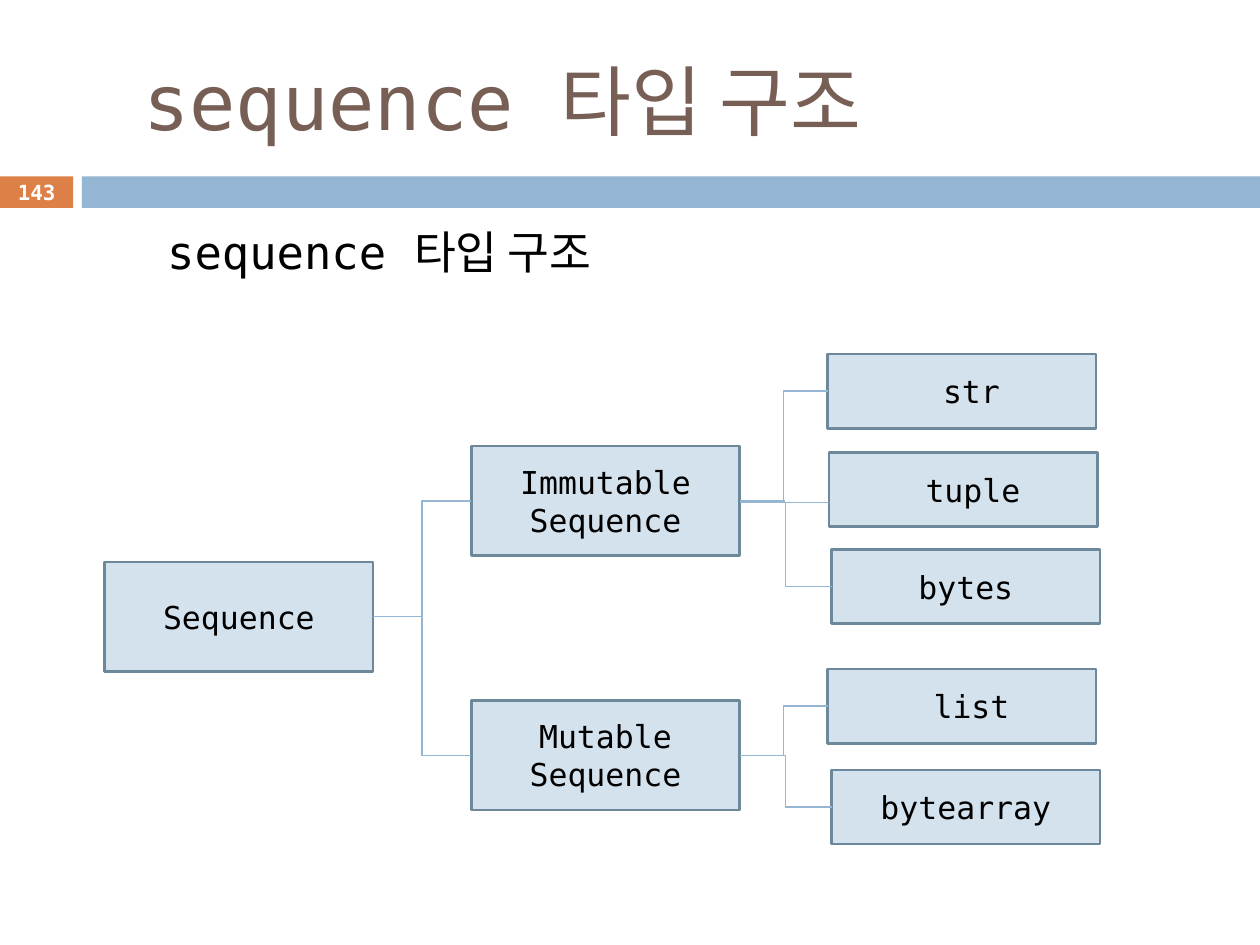
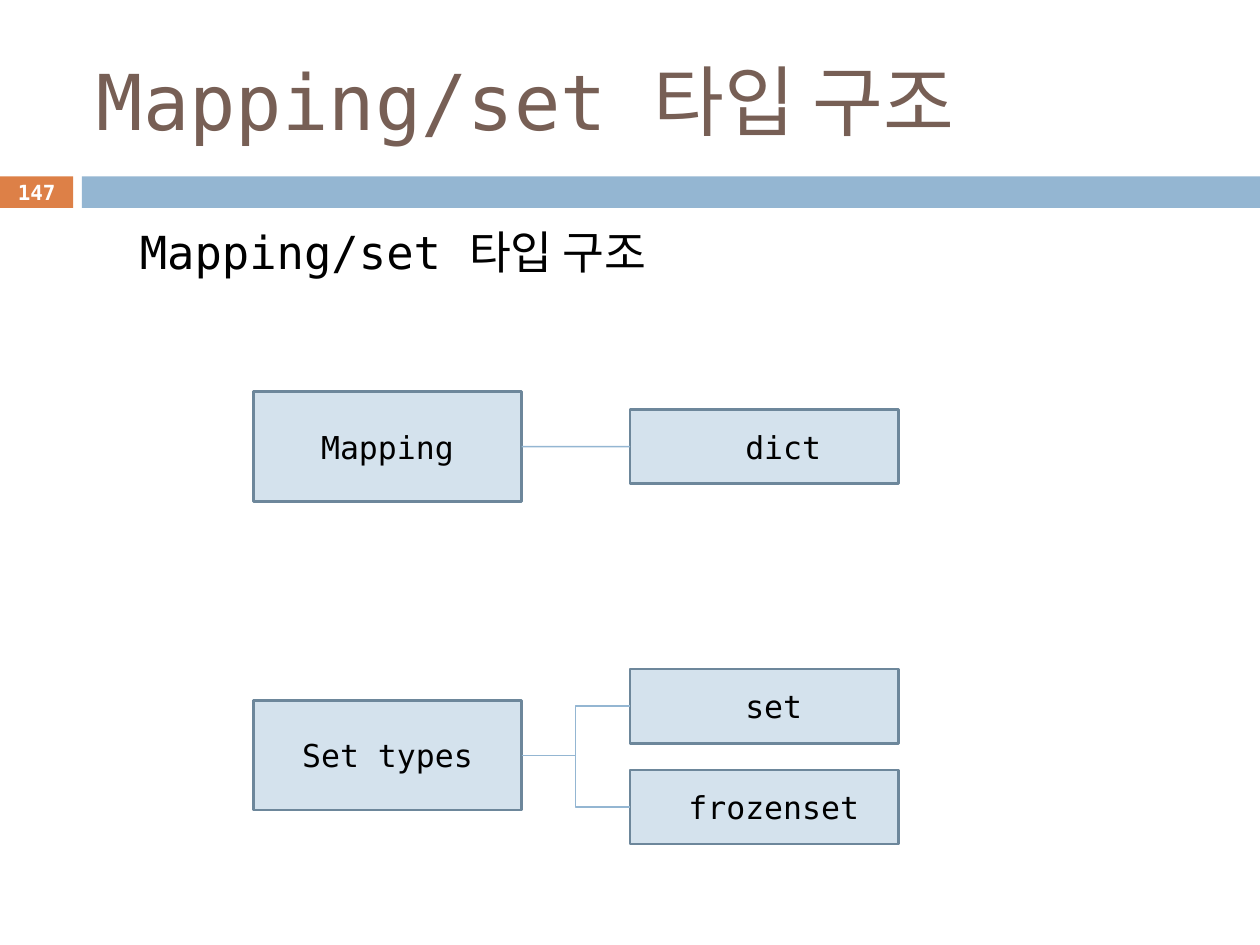
from pptx import Presentation
from pptx.dml.color import RGBColor
from pptx.enum.shapes import MSO_CONNECTOR as Connector, MSO_SHAPE as Shape
from pptx.enum.text import MSO_ANCHOR as Anchor, MSO_AUTO_SIZE as AutoSize, PP_ALIGN as Align
from pptx.oxml.ns import qn
from pptx.util import Pt
from lxml.etree import SubElement

FONT = "DejaVu Sans Mono"
COLOURS = {
    "title": "775F55", "text": "000000", "badge": "DD8047", "badge_text": "FFFFFF",
    "band": "94B6D2", "node": "D4E2ED", "node_line": "6D879B",
}
TITLE_ONLY = 5
INSET = 7.2
CHAR_WIDTH = 0.6  # advance of one character, as a share of the font size
NODE_WIDTH, GROUP_HEIGHT, TYPE_HEIGHT = 153.4, 62.6, 42.5
BAND_TOP, BAND_HEIGHT = 100.8, 18


def colour(name):
    return RGBColor.from_string(COLOURS[name])


def write(frame, text, size, ink="text", bold=False, align=Align.LEFT,
          anchor=Anchor.MIDDLE, indent=0):
    """Fill a text frame; indent is extra room on the left, in characters."""
    frame.word_wrap = True
    frame.auto_size = AutoSize.NONE
    frame.vertical_anchor = anchor
    frame.margin_left = Pt(round(INSET + indent * CHAR_WIDTH * size, 2))
    frame.margin_right = Pt(INSET)
    frame.margin_top = frame.margin_bottom = Pt(INSET / 2)
    frame.text = text
    for para in frame.paragraphs:
        para.alignment = align
        para.font.name = FONT
        para.font.size = Pt(size)
        para.font.bold = bold
        para.font.color.rgb = colour(ink)


def add_rectangle(page, left, top, width, height, fill, line=None):
    box = page.shapes.add_shape(Shape.RECTANGLE, Pt(left), Pt(top), Pt(width), Pt(height))
    box.shadow.inherit = False
    box.fill.solid()
    box.fill.fore_color.rgb = colour(fill)
    if line:
        box.line.color.rgb = colour(line)
        box.line.width = Pt(1.5)
    else:
        box.line.fill.background()
    return box


def add_page(deck, heading, number, title_indent=0, subtitle_left=80):
    """Add a page with its title, numbered band and subtitle."""
    page = deck.slides.add_slide(deck.slide_layouts[TITLE_ONLY])
    title = page.shapes.title
    title.left, title.top, title.width, title.height = Pt(48.2), Pt(18), Pt(642.2), Pt(77.8)
    write(title.text_frame, heading, 44, ink="title", indent=title_indent)

    badge = add_rectangle(page, 0, BAND_TOP, 41.8, BAND_HEIGHT, "badge")
    write(badge.text_frame, number, 11.9, ink="badge_text", bold=True, align=Align.CENTER)
    badge.text_frame.margin_top = badge.text_frame.margin_bottom = 0
    add_rectangle(page, 46.8, BAND_TOP, 673.2, BAND_HEIGHT, "band")

    subtitle = page.shapes.add_textbox(Pt(subtitle_left - INSET), Pt(124.6), Pt(600), Pt(72))
    write(subtitle.text_frame, heading, 26, anchor=Anchor.TOP)
    return page


def add_node(page, text, left, top, height, indent=0):
    node = add_rectangle(page, left, top, NODE_WIDTH, height, "node", "node_line")
    write(node.text_frame, text, 18, align=Align.CENTER, indent=indent)
    return node


def add_group(page, text, left, top):
    return add_node(page, text, left, top, GROUP_HEIGHT)


def add_type(page, text, left, top, indent=1):
    return add_node(page, text, left, top, TYPE_HEIGHT, indent)


def join(page, parent, child, kind=Connector.ELBOW, start_drop=0, end_drop=0):
    """Link two nodes from side to side; the drops lower an end below the middle."""
    line = page.shapes.add_connector(
        kind,
        parent.left + parent.width, parent.top + parent.height // 2 + Pt(start_drop),
        child.left, child.top + child.height // 2 + Pt(end_drop))
    line.line.color.rgb = colour("band")
    line.line.width = Pt(0.79)
    SubElement(line._element.spPr, qn("a:effectLst"))


def add_sequence_page(deck):
    page = add_page(deck, "sequence 타입 구조", "143", title_indent=1, subtitle_left=95.6)
    sequence = add_group(page, "Sequence", 59.8, 321.1)
    immutable = add_group(page, "Immutable\nSequence", 269.3, 254.9)
    mutable = add_group(page, "Mutable\nSequence", 269.3, 400.3)
    text_type = add_type(page, "str", 473, 202.3)
    tuple_type = add_type(page, "tuple", 473.8, 258.5)
    bytes_type = add_type(page, "bytes", 475.2, 313.9, indent=0)
    list_type = add_type(page, "list", 473, 382.3)
    bytearray_type = add_type(page, "bytearray", 475.2, 439.9, indent=0)

    for group in (immutable, mutable):
        join(page, sequence, group)
    join(page, immutable, text_type)
    join(page, immutable, bytes_type, start_drop=1)
    join(page, immutable, tuple_type, end_drop=7.5)
    for child in (list_type, bytearray_type):
        join(page, mutable, child)


def add_mapping_page(deck):
    page = add_page(deck, "Mapping/set 타입 구조", "147")
    mapping = add_group(page, "Mapping", 144.7, 223.9)
    set_types = add_group(page, "Set types", 144.7, 400.3)
    join(page, mapping, add_type(page, "dict", 360, 234, indent=2), kind=Connector.STRAIGHT)
    for name, top in (("set", 382.3), ("frozenset", 439.9)):
        join(page, set_types, add_type(page, name, 360, top))


def main():
    deck = Presentation()
    deck.slide_width, deck.slide_height = Pt(720), Pt(540)
    add_sequence_page(deck)
    add_mapping_page(deck)
    deck.save("out.pptx")


if __name__ == "__main__":
    main()
